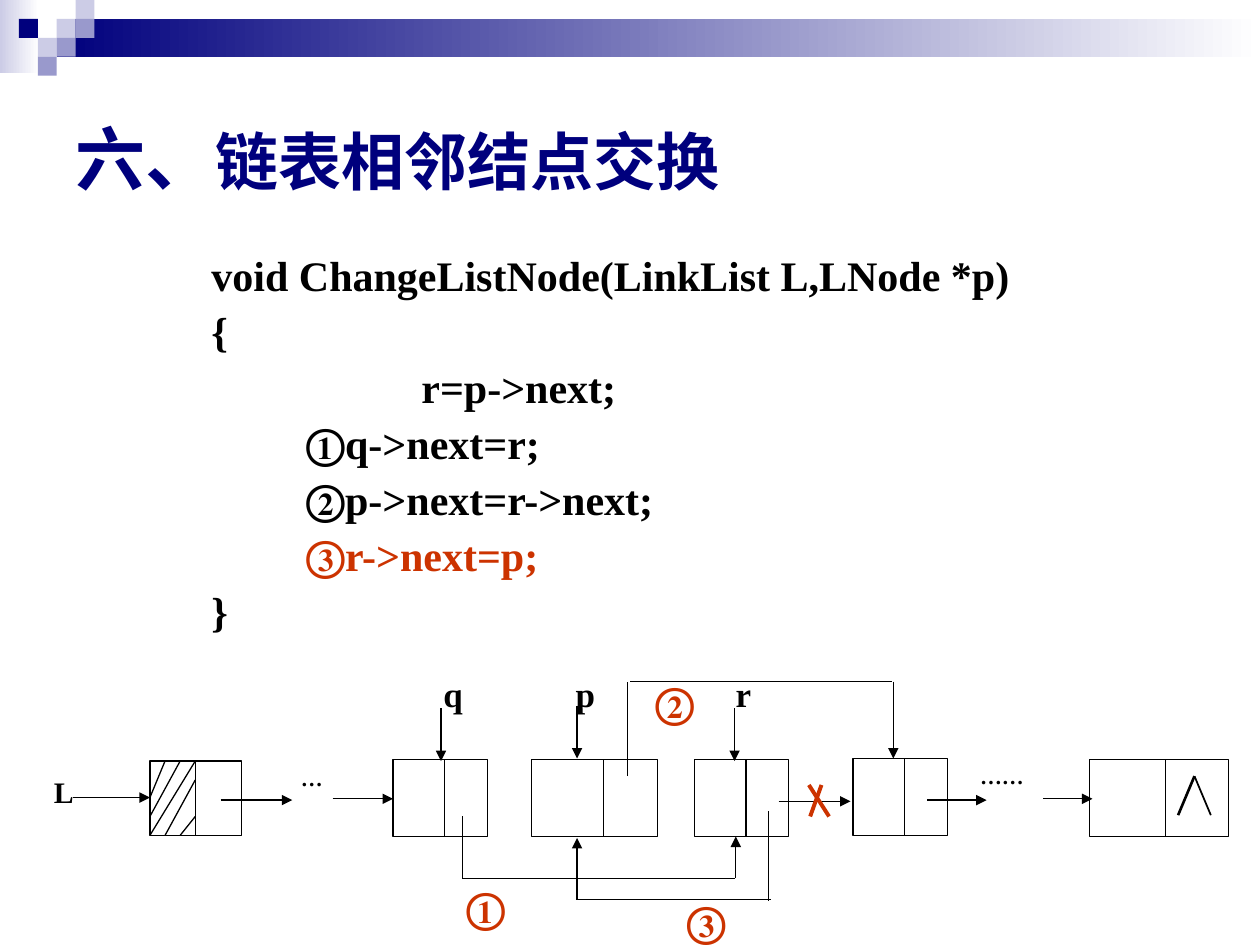
from lxml import etree
from pptx import Presentation
from pptx.dml.color import RGBColor
from pptx.enum.shapes import MSO_CONNECTOR, MSO_SHAPE
from pptx.enum.text import MSO_ANCHOR, MSO_AUTO_SIZE, PP_ALIGN
from pptx.oxml.ns import qn
from pptx.util import Inches, Pt

RECT, STRAIGHT = MSO_SHAPE.RECTANGLE, MSO_CONNECTOR.STRAIGHT
MIDDLE, FIXED, LEFT = MSO_ANCHOR.MIDDLE, MSO_AUTO_SIZE.NONE, PP_ALIGN.LEFT
NAVY = RGBColor(0x00, 0x00, 0x7D)
LILAC = RGBColor(0x99, 0x99, 0xCC)
PALE = RGBColor(0xCC, 0xCC, 0xE6)
WHITE = RGBColor(0xFF, 0xFF, 0xFF)
BLACK = RGBColor(0x00, 0x00, 0x00)
RED = RGBColor(0xCC, 0x33, 0x00)
SERIF, SANS = "Times New Roman", "Arial"

# Content
TITLE = [("六、", 40), ("链表相邻结点交换", 36)]
CODE = [
    ("void ChangeListNode(LinkList L,LNode *p)", BLACK),
    ("{", BLACK),
    ("　　　　　r=p->next;", BLACK),
    ("\t   ①q->next=r;", BLACK),
    ("\t   ②p->next=r->next;", BLACK),
    ("\t   ③r->next=p;", RED),
    ("}", BLACK),
]
# Text, left, top, width, height, size, colour, line spacing
LABELS = [
    ("L", 0.33, 6.12, 0.42, 0.42, 17, BLACK, 0.9),
    ("…", 2.29, 6.06, 0.48, 0.33, 12.5, BLACK, 0.8),
    ("……", 7.68, 6.04, 0.82, 0.33, 12.5, BLACK, 0.8),
    ("q", 3.42, 5.29, 0.4, 0.44, 20, BLACK, 1),
    ("p", 4.47, 5.29, 0.4, 0.44, 20, BLACK, 1),
    ("r", 5.74, 5.29, 0.4, 0.44, 20, BLACK, 1),
    ("①", 3.6, 6.95, 0.51, 0.5, 24, RED, 1),
    ("②", 5.1, 5.32, 0.51, 0.5, 24, RED, 1),
    ("③", 5.35, 7.06, 0.51, 0.5, 24, RED, 1),
]
# Left, top, width, height, divider
NODES = [
    (1.19, 6.04, 0.73, 0.59, 1.55),
    (3.12, 6.03, 0.75, 0.61, 3.53),
    (4.22, 6.03, 1, 0.61, 4.79),
    (5.51, 6.03, 0.75, 0.61, 5.92),
    (6.77, 6.02, 0.75, 0.61, 7.18),
    (8.65, 6.03, 1.1, 0.61, 9.25),
]
# Start x, start y, end x, end y
ARROWS = [
    (0.58, 6.33, 1.19, 6.33), (1.75, 6.35, 2.32, 6.35),
    (2.64, 6.34, 3.12, 6.34), (6.18, 6.36, 6.75, 6.36),
    (7.36, 6.35, 7.83, 6.35), (8.28, 6.34, 8.67, 6.34),
    (3.5, 5.62, 3.5, 6.04), (4.58, 5.6, 4.58, 6.02),
    (5.83, 5.62, 5.83, 6.04), (5.84, 6.97, 5.84, 6.64),
    (7.09, 5.41, 7.09, 6.02), (4.58, 7.14, 4.58, 6.65),
]
HATCH = [
    (1.31, 6.04, 1.19, 6.33), (1.43, 6.04, 1.19, 6.48),
    (1.55, 6.04, 1.19, 6.63), (1.55, 6.19, 1.31, 6.63),
    (1.55, 6.48, 1.43, 6.63),
]
LINKS = [
    (3.67, 6.97, 5.83, 6.97), (5, 5.41, 7.08, 5.41),
    (6.1, 7.15, 6.1, 6.44), (4.59, 7.14, 6.12, 7.14),
]
THIN = [(3.67, 6.97, 3.67, 6.48), (4.98, 6.16, 4.98, 5.41)]
CROSS = [(6.52, 6.23, 6.43, 6.48), (6.42, 6.23, 6.58, 6.48)]
# Corner squares: column, row, colour
TILE = 0.15
TILES = [(3, 1, PALE), (4, 0, PALE), (4, 1, LILAC), (2, 2, PALE),
         (1, 1, NAVY), (3, 2, LILAC), (2, 3, LILAC)]

deck = Presentation()
deck.slide_width, deck.slide_height = Inches(10), Inches(7.5)
slide = deck.slides.add_slide(deck.slide_layouts[5])
shapes = slide.shapes


def add_box(x, y, w, h):
    box = shapes.add_shape(RECT, *map(Inches, (x, y, w, h)))
    box.shadow.inherit = False
    box.line.fill.background()
    return box


def add_fade(x, y, w, h, color):
    fill = add_box(x, y, w, h).fill
    fill.gradient()
    fill.gradient_angle = 0
    for stop, shade in zip(fill.gradient_stops, (color, WHITE)):
        stop.color.rgb = shade


def add_line(ends, width=0.75, color=BLACK, arrow=False):
    line = shapes.add_connector(STRAIGHT, *map(Inches, ends))
    line.line.color.rgb = color
    line.line.width = Pt(width)
    if arrow:
        ln = line.line._get_or_add_ln()
        etree.SubElement(ln, qn("a:tailEnd"), type="triangle")
    etree.SubElement(line._element.spPr, qn("a:effectLst"))


def style(run, size, color, face=SERIF):
    font = run.font
    font.name, font.size, font.bold = face, Pt(size), True
    font.color.rgb = color


def add_text(x, y, w, h, rows, size, space, gap=0, wrap=True):
    frame = shapes.add_textbox(*map(Inches, (x, y, w, h))).text_frame
    frame.word_wrap = wrap
    for i, (text, color) in enumerate(rows):
        para = frame.add_paragraph() if i else frame.paragraphs[0]
        para.text = text
        para.line_spacing = space
        if i:
            para.space_before = Pt(gap)
        style(para.runs[0], size, color)


# Banner
add_fade(0, 0, 0.31, 0.58, PALE)
add_fade(0.45, 0.15, 9.55, 0.3, NAVY)
for col, row, color in TILES:
    tile = add_box(col * TILE, row * TILE, TILE, TILE)
    tile.fill.solid()
    tile.fill.fore_color.rgb = color

# Title
title = shapes.title
title.left, title.top = Inches(0.5), Inches(0.5)
title.width, title.height = Inches(9), Inches(1.5)
frame = title.text_frame
frame.auto_size, frame.vertical_anchor = FIXED, MIDDLE
para = frame.paragraphs[0]
para.alignment = LEFT
for text, size in TITLE:
    run = para.add_run()
    run.text = text
    style(run, size, NAVY, SANS)

# List nodes
for x, y, w, h, mid in NODES:
    node = add_box(x, y, w, h)
    node.fill.solid()
    node.fill.fore_color.rgb = WHITE
    node.line.color.rgb = BLACK
    node.line.width = Pt(0.75)
    add_line((mid, y, mid, y + h))

# Hatching, links and arrows
for ends in HATCH + LINKS:
    add_line(ends)
for ends in THIN:
    add_line(ends, 0.25)
for ends in ARROWS:
    add_line(ends, arrow=True)

# Null mark and cut link
add_line((9.35, 6.47, 9.48, 6.16), 1.5)
add_line((9.48, 6.16, 9.61, 6.47), 1)
for ends in CROSS:
    add_line(ends, 2.25, RED)

# Labels and code
for text, x, y, w, h, size, color, space in LABELS:
    add_text(x, y, w, h, [(text, color)], size, space, wrap=False)
add_text(1.58, 1.98, 6.93, 3.43, CODE, 24, 0.9, gap=6)

deck.save("out.pptx")
